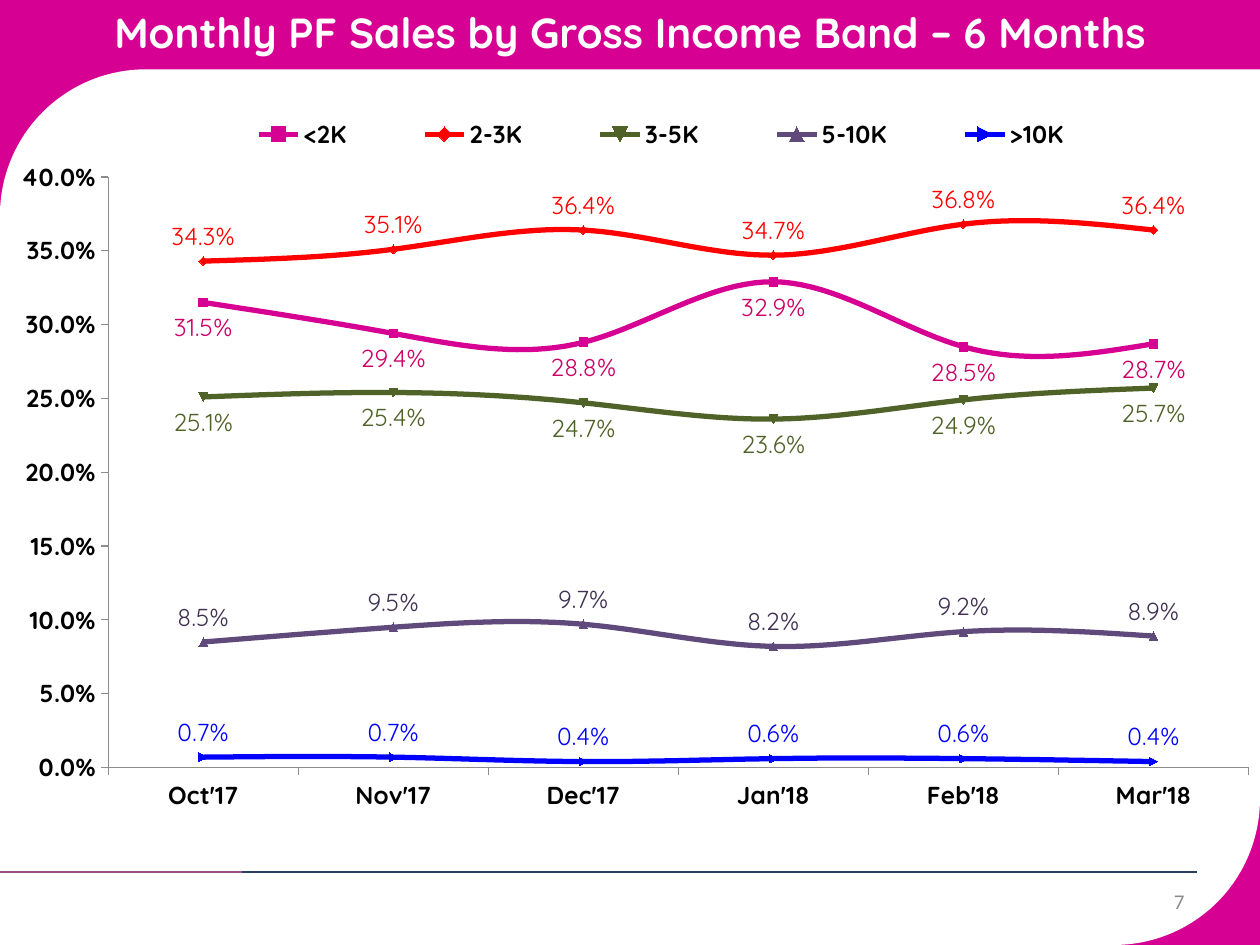
from dataclasses import dataclass

from lxml import etree
from pptx import Presentation
from pptx.chart.data import CategoryChartData
from pptx.dml.color import RGBColor
from pptx.enum.chart import XL_CHART_TYPE, XL_LABEL_POSITION, XL_LEGEND_POSITION, XL_TICK_MARK
from pptx.enum.shapes import MSO_CONNECTOR, MSO_SHAPE
from pptx.enum.text import MSO_ANCHOR, PP_ALIGN
from pptx.oxml.ns import qn
from pptx.util import Inches, Pt

LINE_MARKERS = XL_CHART_TYPE.LINE_MARKERS
ABOVE, BELOW = XL_LABEL_POSITION.ABOVE, XL_LABEL_POSITION.BELOW
LEGEND_TOP = XL_LEGEND_POSITION.TOP
TICK_OUTSIDE, TICK_NONE = XL_TICK_MARK.OUTSIDE, XL_TICK_MARK.NONE
STRAIGHT = MSO_CONNECTOR.STRAIGHT
RECTANGLE, ROUNDED_DIAGONAL = MSO_SHAPE.RECTANGLE, MSO_SHAPE.ROUND_2_DIAG_RECTANGLE
TOP, MIDDLE = MSO_ANCHOR.TOP, MSO_ANCHOR.MIDDLE
CENTER, RIGHT = PP_ALIGN.CENTER, PP_ALIGN.RIGHT


@dataclass(frozen=True)
class Theme:
    magenta: str = "D60093"
    white: str = "FFFFFF"
    black: str = "000000"
    gray: str = "8C8C8C"
    plum: str = "9D4D7D"
    navy: str = "254061"
    rose: str = "CC0066"
    red: str = "FF0000"
    olive: str = "4F6228"
    purple: str = "604A7B"
    dark_purple: str = "403152"
    blue: str = "0000FF"
    font: str = "Quicksand"
    number_font: str = "Calibri"
    title_size: int = 24
    chart_size: int = 14
    number_size: int = 12
    percent: str = "0.0%"


THEME = Theme()
MONTHS = ["Oct'17", "Nov'17", "Dec'17", "Jan'18", "Feb'18", "Mar'18"]
BANDS = [
    ("<2K", THEME.magenta, THEME.rose, BELOW, [0.315, 0.294, 0.288, 0.329, 0.285, 0.287]),
    ("2-3K", THEME.red, THEME.red, ABOVE, [0.343, 0.351, 0.364, 0.347, 0.368, 0.364]),
    ("3-5K", THEME.olive, THEME.olive, BELOW, [0.251, 0.254, 0.247, 0.236, 0.249, 0.257]),
    ("5-10K", THEME.purple, THEME.dark_purple, ABOVE, [0.085, 0.095, 0.097, 0.082, 0.092, 0.089]),
    (">10K", THEME.blue, THEME.blue, ABOVE, [0.007, 0.007, 0.004, 0.006, 0.006, 0.004]),
]


class SlideBuilder:
    def __init__(self, slide, theme):
        self.slide = slide
        self.theme = theme

    def style_font(self, font, size, color, bold=False, name=None):
        font.name = name or self.theme.font
        font.size = Pt(size)
        font.bold = bold
        font.color.rgb = RGBColor.from_string(color)

    def panel(self, kind, left, top, width, height, color):
        panel = self.slide.shapes.add_shape(
            kind, Inches(left), Inches(top), Inches(width), Inches(height))
        panel.shadow.inherit = False
        panel.fill.solid()
        panel.fill.fore_color.rgb = RGBColor.from_string(color)
        panel.line.fill.background()

    def rule(self, start, end, height, color):
        rule = self.slide.shapes.add_connector(
            STRAIGHT, Inches(start), Inches(height), Inches(end), Inches(height))
        rule.line.color.rgb = RGBColor.from_string(color)
        rule.line.width = Pt(1.25)
        etree.SubElement(rule.element.spPr, qn("a:effectLst"))

    def title(self, text, left, top, width, height):
        title = self.slide.shapes.title
        title.left, title.top = Inches(left), Inches(top)
        title.width, title.height = Inches(width), Inches(height)
        title.text_frame.vertical_anchor = TOP
        title.text_frame.text = text
        para = title.text_frame.paragraphs[0]
        para.alignment = CENTER
        self.style_font(para.font, self.theme.title_size, self.theme.white, bold=True)
        title.element.getparent().append(title.element)

    def page_number(self, text, left, top, width, height):
        box = self.slide.shapes.add_textbox(
            Inches(left), Inches(top), Inches(width), Inches(height))
        box.text_frame.word_wrap = True
        box.text_frame.vertical_anchor = MIDDLE
        para = box.text_frame.paragraphs[0]
        para.text = text
        para.alignment = RIGHT
        self.style_font(para.font, self.theme.number_size, self.theme.gray,
                        name=self.theme.number_font)

    def place(self, parent, index, target, **edges):
        for previous in parent.findall(qn("c:layout")):
            parent.remove(previous)
        layout = etree.Element(qn("c:layout"))
        manual = etree.SubElement(layout, qn("c:manualLayout"))
        settings = {"layoutTarget": target} if target else {}
        settings.update(xMode="edge", yMode="edge", **edges)
        for name, value in settings.items():
            etree.SubElement(manual, qn(f"c:{name}")).set("val", str(value))
        parent.insert(index, layout)

    def axis(self, axis):
        axis.has_major_gridlines = False
        axis.major_tick_mark = TICK_OUTSIDE
        axis.minor_tick_mark = TICK_NONE
        axis.format.line.color.rgb = RGBColor.from_string(self.theme.gray)
        axis.format.line.width = Pt(0.75)
        self.style_font(axis.tick_labels.font, self.theme.chart_size, self.theme.black, bold=True)

    def series(self, series, color, label_color, position):
        tint = RGBColor.from_string(color)
        series.smooth = True
        series.format.line.color.rgb = tint
        series.format.line.width = Pt(3)
        series.marker.size = 5
        series.marker.format.fill.solid()
        series.marker.format.fill.fore_color.rgb = tint
        series.marker.format.line.color.rgb = tint
        labels = series.data_labels
        labels.show_value = True
        labels.position = position
        labels.number_format = self.theme.percent
        labels.number_format_is_linked = False
        self.style_font(labels.font, self.theme.chart_size, label_color)

    def line_chart(self, months, bands, left, top, width, height):
        data = CategoryChartData(number_format=self.theme.percent)
        data.categories = months
        for name, _, _, _, values in bands:
            data.add_series(name, values)
        chart = self.slide.shapes.add_chart(
            LINE_MARKERS, Inches(left), Inches(top), Inches(width), Inches(height), data).chart
        self.style_font(chart.font, self.theme.chart_size, self.theme.black)
        chart.has_title = False
        chart.plots[0].vary_by_categories = False
        self.axis(chart.category_axis)
        self.axis(chart.value_axis)
        chart.value_axis.minimum_scale = 0
        chart.value_axis.maximum_scale = 0.4
        chart.value_axis.major_unit = 0.05
        chart.value_axis.tick_labels.number_format = self.theme.percent
        chart.value_axis.tick_labels.number_format_is_linked = False
        chart.has_legend = True
        chart.legend.position = LEGEND_TOP
        chart.legend.include_in_layout = False
        self.style_font(chart.legend.font, self.theme.chart_size, self.theme.black, bold=True)
        for series, (_, color, label_color, position, _) in zip(chart.plots[0].series, bands):
            self.series(series, color, label_color, position)
        plot_area = chart.element.find(f".//{qn('c:plotArea')}")
        legend = chart.element.find(f".//{qn('c:legend')}")
        self.place(plot_area, 0, "inner", x=0.086, y=0.093, w=0.905, h=0.8)
        self.place(legend, 1, None, x=0.15, y=0.01, w=0.75, h=0.05)


def main():
    deck = Presentation()
    deck.slide_width, deck.slide_height = Inches(10), Inches(7.5)
    page = SlideBuilder(deck.slides.add_slide(deck.slide_layouts[5]), THEME)
    page.panel(RECTANGLE, 0, 0, 10, 7.5, THEME.magenta)
    page.panel(ROUNDED_DIAGONAL, 0, 0.55, 10, 6.95, THEME.white)
    page.page_number("7", 7.17, 6.95, 2.33, 0.4)
    page.rule(0, 9.33, 6.92, THEME.plum)
    page.rule(1.92, 9.5, 6.92, THEME.navy)
    page.title("Monthly PF Sales by Gross Income Band – 6 Months", 0, 0, 10, 0.8)
    page.line_chart(MONTHS, BANDS, 0, 0.86, 10, 5.86)
    deck.save("out.pptx")


if __name__ == "__main__":
    main()
